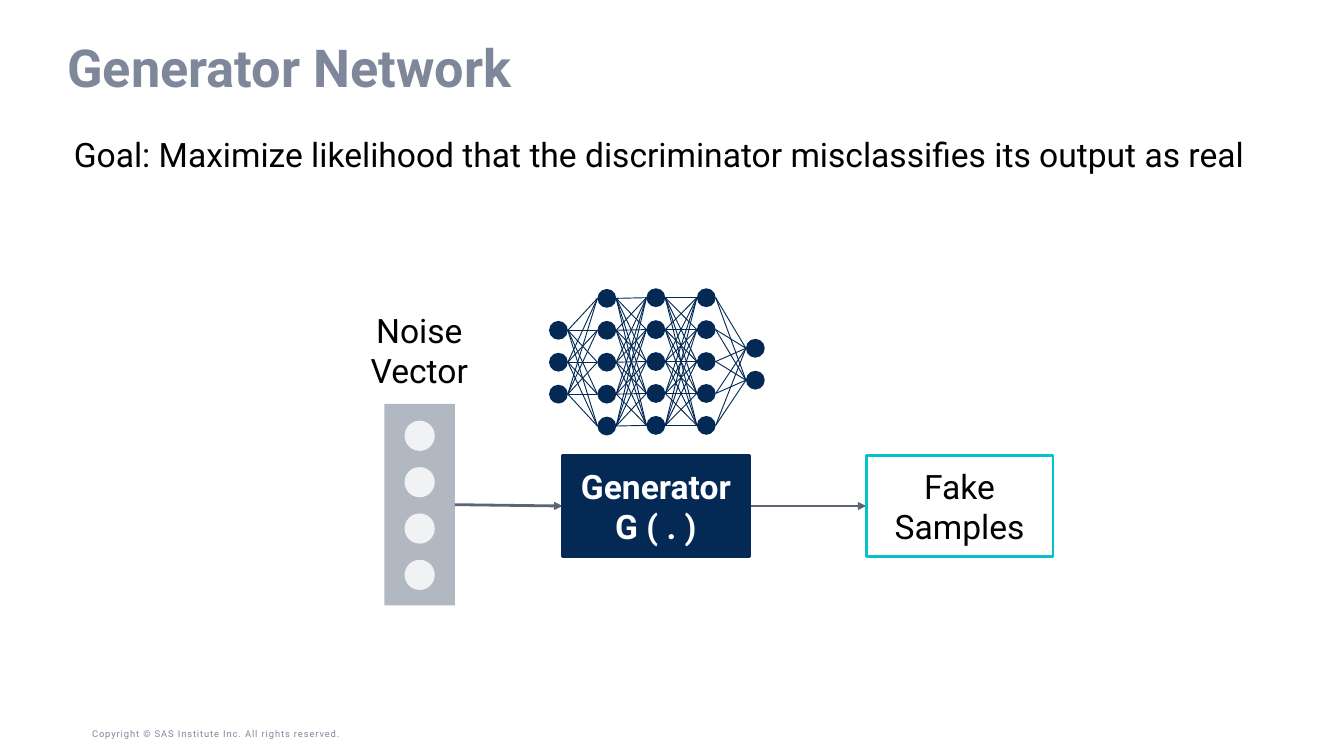
from dataclasses import dataclass
from itertools import pairwise, product

from lxml.etree import SubElement
from pptx import Presentation
from pptx.dml.color import RGBColor
from pptx.enum.shapes import MSO_CONNECTOR, MSO_SHAPE
from pptx.enum.text import MSO_ANCHOR, PP_ALIGN
from pptx.oxml.ns import qn
from pptx.util import Emu, Inches, Pt

SLIDE_WIDTH, SLIDE_HEIGHT = Inches(20), Inches(11.25)
COLUMN = SLIDE_WIDTH / 20
ROW = SLIDE_HEIGHT / 11.25


@dataclass(frozen=True)
class Theme:
    font: str = "Roboto"
    navy: str = "032954"
    slate: str = "7E889A"
    arrow: str = "5C6576"
    grey: str = "B2B8C2"
    pale: str = "F1F2F4"
    teal: str = "06C1CC"
    black: str = "000000"
    white: str = "FFFFFF"
    title_size: float = 56
    body_size: float = 36
    footer_size: float = 10
    thin: float = 1
    thick: float = 3


@dataclass(frozen=True)
class Box:
    """A place on the grid, in columns and rows."""
    left: float
    top: float
    width: float
    height: float

    def emu(self) -> tuple[Emu, ...]:
        return (Emu(round(self.left * COLUMN)), Emu(round(self.top * ROW)),
                Emu(round(self.width * COLUMN)), Emu(round(self.height * ROW)))


@dataclass(frozen=True)
class Layer:
    """One column of neurons, by its centre."""
    x: float
    middle: float
    count: int

    def centres(self) -> list[float]:
        first = self.middle - (self.count - 1) / 2 * NEURON_PITCH
        return [first + index * NEURON_PITCH for index in range(self.count)]


THEME = Theme()
NEURON_SIZE, NEURON_PITCH = 0.28, 0.475
LAYERS = [Layer(8.31, 5.39, 3), Layer(9.03, 5.39, 5), Layer(9.76, 5.38, 5),
          Layer(10.51, 5.38, 5), Layer(11.24, 5.42, 2)]
NOISE_BAR = Box(5.72, 6.01, 1.05, 3)
NOISE_DOT, NOISE_DOTS = 0.45, 4
GENERATOR = Box(8.37, 6.78, 2.78, 1.5)
SAMPLES = Box(12.89, 6.78, 2.78, 1.5)


def write(shape, text: str, size: float = THEME.body_size, color: str = THEME.black,
          bold: bool = False, align=PP_ALIGN.LEFT, anchor=MSO_ANCHOR.TOP,
          margins=(0.1, 0.05, 0.1, 0.05), line_spacing: float = 1,
          letter_spacing: float = 0) -> None:
    frame = shape.text_frame
    frame.word_wrap = True
    frame.vertical_anchor = anchor
    (frame.margin_left, frame.margin_top,
     frame.margin_right, frame.margin_bottom) = map(Inches, margins)
    frame.text = text
    for paragraph in frame.paragraphs:
        paragraph.alignment = align
        paragraph.line_spacing = line_spacing
        for run in paragraph.runs:
            run.font.name = THEME.font
            run.font.size = Pt(size)
            run.font.bold = bold
            run.font.color.rgb = RGBColor.from_string(color)
            if letter_spacing:
                run.font._element.set("spc", str(round(letter_spacing * 100)))


def add_text(slide, box: Box, text: str, **text_format) -> None:
    write(slide.shapes.add_textbox(*box.emu()), text, **text_format)


def add_block(slide, kind, box: Box, fill: str | None = None, line: str | None = None):
    shape = slide.shapes.add_shape(kind, *box.emu())
    shape.shadow.inherit = False
    if fill:
        shape.fill.solid()
        shape.fill.fore_color.rgb = RGBColor.from_string(fill)
    else:
        shape.fill.background()
    if line:
        shape.line.color.rgb = RGBColor.from_string(line)
        shape.line.width = Pt(THEME.thick)
    else:
        shape.line.fill.background()
    return shape


def add_dot(slide, x: float, y: float, size: float, fill: str) -> None:
    add_block(slide, MSO_SHAPE.OVAL, Box(x - size / 2, y - size / 2, size, size), fill)


def add_line(slide, start: tuple[float, float], end: tuple[float, float],
             color: str, width: float, arrow: bool = False) -> None:
    points = [Emu(round(value * unit)) for value, unit
              in zip((*start, *end), (COLUMN, ROW) * 2)]
    connector = slide.shapes.add_connector(MSO_CONNECTOR.STRAIGHT, *points)
    connector.line.color.rgb = RGBColor.from_string(color)
    connector.line.width = Pt(width)
    if arrow:
        SubElement(connector.line._get_or_add_ln(), qn("a:tailEnd"), type="triangle")
    SubElement(connector._element.spPr, qn("a:effectLst"))


def add_network(slide) -> None:
    radius = NEURON_SIZE / 2
    for before, after in pairwise(LAYERS):
        for start, end in product(before.centres(), after.centres()):
            add_line(slide, (before.x + radius, start), (after.x - radius, end),
                     THEME.navy, THEME.thin)
    for layer in LAYERS:
        for y in layer.centres():
            add_dot(slide, layer.x, y, NEURON_SIZE, THEME.navy)


def add_noise_vector(slide) -> None:
    add_block(slide, MSO_SHAPE.RECTANGLE, NOISE_BAR, THEME.grey)
    x = NOISE_BAR.left + NOISE_BAR.width / 2
    middle = NOISE_BAR.top + NOISE_BAR.height / 2 + 0.01
    for index in range(NOISE_DOTS):
        y = middle + (index - (NOISE_DOTS - 1) / 2) * 0.69
        add_dot(slide, x, y, NOISE_DOT, THEME.pale)
    add_text(slide, Box(4.91, 4.56, 2.66, 1.31), "Noise Vector", align=PP_ALIGN.CENTER)


def add_flow(slide) -> None:
    middle = GENERATOR.top + GENERATOR.height / 2
    for source, target in pairwise([NOISE_BAR, GENERATOR, SAMPLES]):
        start = (source.left + source.width, source.top + source.height / 2)
        add_line(slide, start, (target.left, middle), THEME.arrow, THEME.thick, arrow=True)
    centred = {"align": PP_ALIGN.CENTER, "anchor": MSO_ANCHOR.MIDDLE}
    generator = add_block(slide, MSO_SHAPE.RECTANGLE, GENERATOR, THEME.navy, THEME.navy)
    write(generator, "Generator\nG ( . )", color=THEME.white, bold=True, **centred)
    samples = add_block(slide, MSO_SHAPE.RECTANGLE, SAMPLES, line=THEME.teal)
    write(samples, "Fake Samples", **centred)


def main() -> None:
    presentation = Presentation()
    presentation.slide_width, presentation.slide_height = SLIDE_WIDTH, SLIDE_HEIGHT
    slide = presentation.slides.add_slide(presentation.slide_layouts[6])

    # Footer, title and goal
    add_text(slide, Box(1.37, 10.78, 5.5, 0.27),
             "Copyright © SAS Institute Inc. All rights reserved.",
             size=THEME.footer_size, color=THEME.slate, anchor=MSO_ANCHOR.BOTTOM,
             margins=(0, 0.05, 0.1, 0.05), letter_spacing=1)
    add_text(slide, Box(1, 0.67, 18, 0.76), "Generator Network",
             size=THEME.title_size, color=THEME.slate, bold=True,
             anchor=MSO_ANCHOR.MIDDLE, margins=(0, 0, 0, 0), line_spacing=0.9)
    add_text(slide, Box(1, 1.95, 18, 0.71),
             "Goal: Maximize likelihood that the discriminator misclassifies its output as real")

    # Diagram
    add_network(slide)
    add_noise_vector(slide)
    add_flow(slide)

    presentation.save("out.pptx")


if __name__ == "__main__":
    main()
